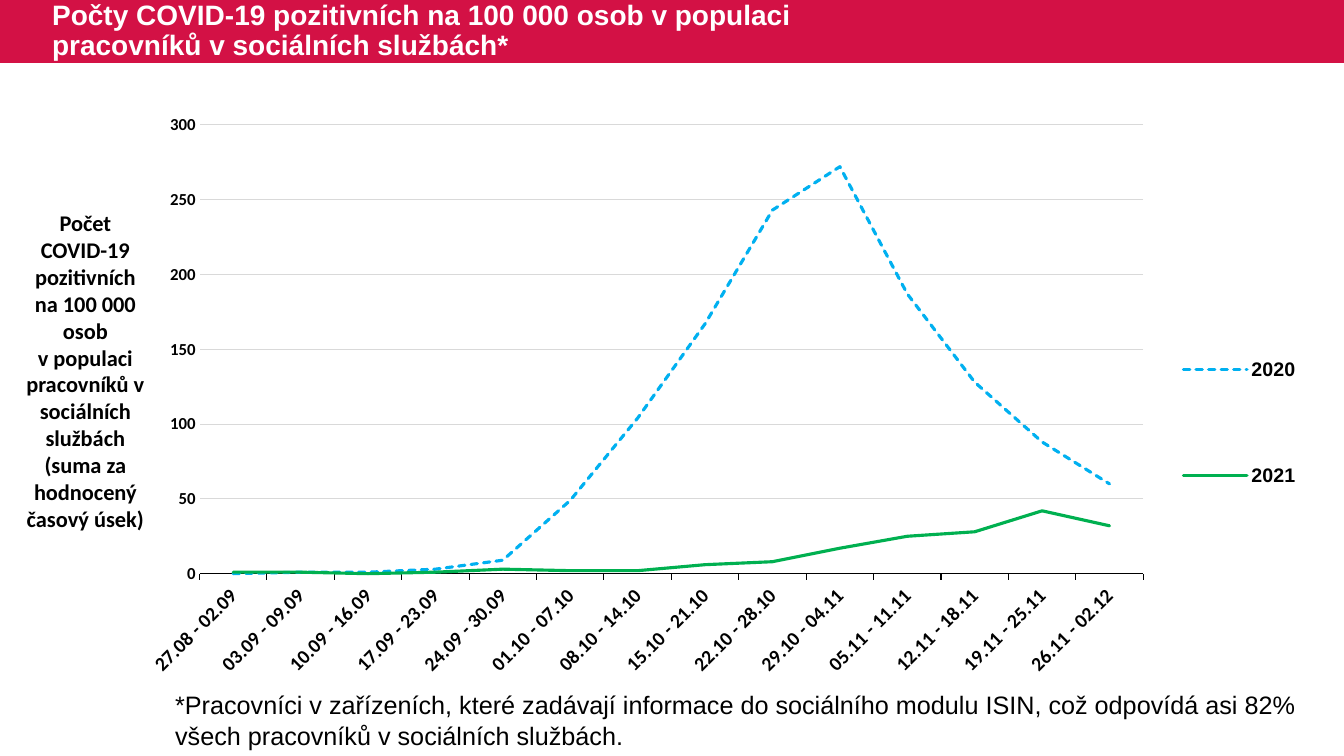
from lxml import etree
from pptx import Presentation
from pptx.chart.data import CategoryChartData
from pptx.dml.color import RGBColor
from pptx.enum.chart import (XL_CHART_TYPE, XL_LEGEND_POSITION, XL_MARKER_STYLE,
                             XL_TICK_MARK)
from pptx.enum.dml import MSO_LINE
from pptx.enum.shapes import MSO_SHAPE
from pptx.enum.text import MSO_ANCHOR, MSO_AUTO_SIZE, PP_ALIGN
from pptx.oxml.ns import qn
from pptx.util import Pt

LINE_CHART = XL_CHART_TYPE.LINE
LEGEND_RIGHT = XL_LEGEND_POSITION.RIGHT
NO_MARKER = XL_MARKER_STYLE.NONE
TICK_NONE, TICK_OUT = XL_TICK_MARK.NONE, XL_TICK_MARK.OUTSIDE
SOLID, DASHED = MSO_LINE.SOLID, MSO_LINE.SQUARE_DOT
RECTANGLE = MSO_SHAPE.RECTANGLE
TOP, MIDDLE = MSO_ANCHOR.TOP, MSO_ANCHOR.MIDDLE
NO_AUTOFIT = MSO_AUTO_SIZE.NONE
LEFT, CENTER = PP_ALIGN.LEFT, PP_ALIGN.CENTER

TITLE_ONLY = 5
SLIDE_WIDTH, SLIDE_HEIGHT = 960, 540
BAND_HEIGHT = 45
RED, WHITE, BLACK, GRAY = "D31145", "FFFFFF", "000000", "D9D9D9"

TITLE = ("Počty COVID-19 pozitivních na 100 000 osob v populaci "
         "pracovníků v sociálních službách*")
# Non-breaking spaces keep the number and the preposition on one line
HARD_SPACE = chr(160)
COUNT_PHRASE = HARD_SPACE.join(["na", "100", "000"])
POPULATION_PHRASE = HARD_SPACE.join(["v", "populaci"])
AXIS_LABEL = (f"Počet COVID-19 pozitivních {COUNT_PHRASE} osob {POPULATION_PHRASE} "
              "pracovníků v sociálních službách (suma za hodnocený časový úsek)")
FOOTNOTE = ("*Pracovníci v zařízeních, které zadávají informace do sociálního "
            "modulu ISIN, což odpovídá asi 82% všech pracovníků v sociálních službách.")

WEEKS = ["27.08 - 02.09", "03.09 - 09.09", "10.09 - 16.09", "17.09 - 23.09",
         "24.09 - 30.09", "01.10 - 07.10", "08.10 - 14.10", "15.10 - 21.10",
         "22.10 - 28.10", "29.10 - 04.11", "05.11 - 11.11", "12.11 - 18.11",
         "19.11 - 25.11", "26.11 - 02.12"]
# Year, weekly values, colour, dash
YEARS = [
    ("2020", [0, 1, 1, 3, 9, 49, 104, 167, 243, 272, 187, 128, 88, 60], "00B0F0", DASHED),
    ("2021", [1, 1, 0, 1, 3, 2, 2, 6, 8, 17, 25, 28, 42, 32], "00B050", SOLID),
]


def color(hex_string):
    return RGBColor.from_string(hex_string)


def format_font(font, size, name, hex_string=BLACK, bold=False):
    font.size = Pt(size)
    font.name = name
    font.bold = bold
    font.color.rgb = color(hex_string)


def format_line(line, hex_string, width, dash=SOLID):
    line.color.rgb = color(hex_string)
    line.width = Pt(width)
    line.dash_style = dash


def fill_text(shape, text, size, font_name, hex_string, bold, alignment, anchor):
    frame = shape.text_frame
    frame.word_wrap = True
    frame.auto_size = NO_AUTOFIT
    frame.vertical_anchor = anchor
    frame.text = text
    paragraph = frame.paragraphs[0]
    paragraph.alignment = alignment
    for run in paragraph.runs:
        format_font(run.font, size, font_name, hex_string, bold)
    return paragraph


def add_band(slide):
    band = slide.shapes.add_shape(RECTANGLE, 0, 0, Pt(SLIDE_WIDTH), Pt(BAND_HEIGHT))
    band.shadow.inherit = False
    band.fill.solid()
    band.fill.fore_color.rgb = color(RED)
    band.line.fill.background()
    # Send the band behind the title
    slide.shapes.title._element.addprevious(band._element)


def set_title(slide):
    title = slide.shapes.title
    title.left, title.top = Pt(30), Pt(0)
    title.width, title.height = Pt(614), Pt(BAND_HEIGHT)
    paragraph = fill_text(title, TITLE, 20, "Arial", WHITE, True, LEFT, MIDDLE)
    paragraph.line_spacing = 0.9


def add_text(slide, box, text, size, font_name, bold, alignment):
    shape = slide.shapes.add_textbox(*(Pt(length) for length in box))
    fill_text(shape, text, size, font_name, BLACK, bold, alignment, TOP)


def set_layout(parent, index, box, inner=False):
    """Place a chart part by fractions of the chart's width and height."""
    for old_layout in parent.findall(qn("c:layout")):
        parent.remove(old_layout)
    layout = etree.Element(qn("c:layout"))
    manual = etree.SubElement(layout, qn("c:manualLayout"))
    settings = [("layoutTarget", "inner")] if inner else []
    settings += [("xMode", "edge"), ("yMode", "edge")]
    settings += zip("xywh", box)
    for tag, value in settings:
        etree.SubElement(manual, qn("c:" + tag)).set("val", str(value))
    parent.insert(index, layout)


def format_series(series, hex_string, dash):
    series.smooth = False
    series.marker.style = NO_MARKER
    format_line(series.format.line, hex_string, 2.25, dash)
    # Round line caps
    series._element.find(qn("c:spPr")).find(qn("a:ln")).set("cap", "rnd")


def format_axes(chart):
    weeks = chart.category_axis
    weeks.major_tick_mark = TICK_OUT
    weeks.minor_tick_mark = TICK_NONE
    format_line(weeks.format.line, BLACK, 0.75)
    format_font(weeks.tick_labels.font, 14, "Calibri", bold=True)
    # Slant the week labels by 45 degrees
    body = weeks._element.find(qn("c:txPr")).find(qn("a:bodyPr"))
    body.set("rot", "-2700000")
    body.set("vert", "horz")

    counts = chart.value_axis
    counts.minimum_scale, counts.maximum_scale, counts.major_unit = 0, 300, 50
    counts.major_tick_mark = counts.minor_tick_mark = TICK_NONE
    counts.format.line.fill.background()
    counts.has_major_gridlines = True
    format_line(counts.major_gridlines.format.line, GRAY, 0.75)
    format_font(counts.tick_labels.font, 12, "Calibri", bold=True)


def add_line_chart(slide, box):
    data = CategoryChartData(number_format="0")
    data.categories = WEEKS
    for year, values, _, _ in YEARS:
        data.add_series(year, values)
    frame = slide.shapes.add_chart(LINE_CHART, *(Pt(length) for length in box), data)
    chart = frame.chart
    chart.has_title = False
    format_font(chart.font, 14, "Arial", bold=True)

    plot = chart.plots[0]
    plot.vary_by_categories = False
    for series, (_, _, hex_string, dash) in zip(plot.series, YEARS):
        format_series(series, hex_string, dash)
    format_axes(chart)

    # Legend and plot area
    chart.has_legend = True
    legend = chart.legend
    legend.position = LEGEND_RIGHT
    legend.include_in_layout = False
    format_font(legend.font, 14, "Arial", bold=True)
    set_layout(legend._element, 1, (0.87, 0.27, 0.12, 0.5))
    plot_area = chart._chartSpace.chart.plotArea
    set_layout(plot_area, 0, (0.045, 0.017, 0.803, 0.759), inner=True)


def main():
    presentation = Presentation()
    presentation.slide_width = Pt(SLIDE_WIDTH)
    presentation.slide_height = Pt(SLIDE_HEIGHT)
    slide = presentation.slides.add_slide(presentation.slide_layouts[TITLE_ONLY])
    add_band(slide)
    set_title(slide)
    add_text(slide, (4.5, 146, 113, 220), AXIS_LABEL, 16, "Calibri", True, CENTER)
    add_text(slide, (118, 489, 832, 51), FOOTNOTE, 18, "Arial", False, LEFT)
    add_line_chart(slide, (104.75, 82, 839.5, 422.5))
    presentation.save("out.pptx")


if __name__ == "__main__":
    main()
